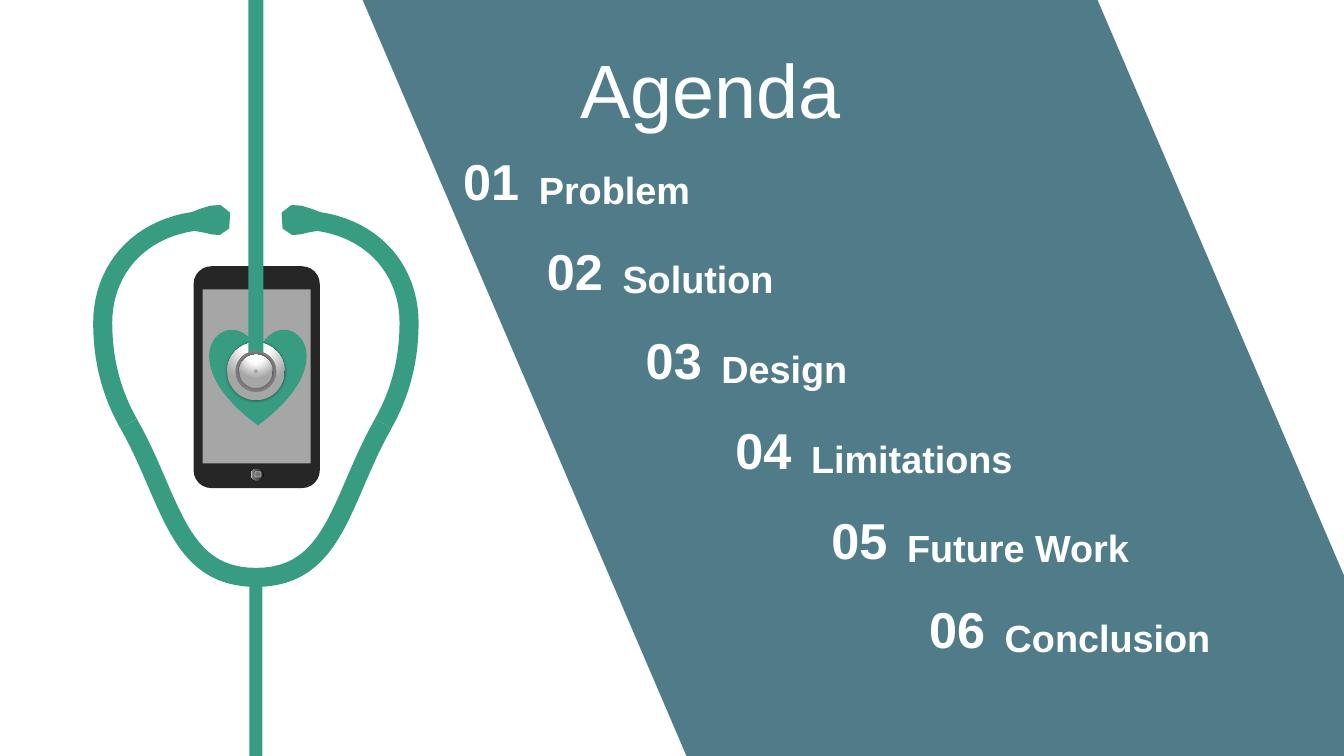
from dataclasses import dataclass
from math import hypot

from pptx import Presentation
from pptx.dml.color import RGBColor
from pptx.enum.shapes import MSO_SHAPE as SHAPE
from pptx.enum.text import MSO_ANCHOR as ANCHOR, MSO_AUTO_SIZE as AUTO, PP_ALIGN as ALIGN
from pptx.oxml import parse_xml
from pptx.oxml.ns import nsdecls, qn
from pptx.util import Cm, Pt


@dataclass(frozen=True)
class Theme:
    """Colours, font and type sizes of the slide."""
    band: str = "507C89"
    tube: str = "389C82"
    case: str = "262626"
    screen: str = "A6A6A6"
    ring: str = "808080"
    mark: str = "737373"
    mark_edge: str = "B0B0B0"
    text: str = "FFFFFF"
    font: str = "Arial"
    title: int = 54
    number: int = 36
    label: int = 27


T = Theme()
STEEL = ((0, "FFFFFF"), (35, "FFFFFF"), (100, "A6A6A6"))
BUTTON = ((0, "0F0F0F"), (56, "595959"), (91, "808080"), (100, "BFBFBF"))
RADIAL = '<a:path path="circle"><a:fillToRect l="50000" t="-80000" r="50000" b="180000"/></a:path>'
LINEAR = '<a:lin ang="10800000" scaled="0"/>'

WIDTH, HEIGHT = 33.87, 19.05
BAND = ((9.14, 0), (27.66, 0), (33.99, 14.78), (33.99, HEIGHT), (17.3, HEIGHT))

AXIS = 6.45
CHEST_Y = 9.36
EAR, SIDE, JOINT, BOTTOM = (5.79, 5.56), (2.59, 8.13), (3.24, 10.67), (AXIS, 14.55)
EAR_CURVE = (EAR, (3.81, 5.38), (2.59, 6.6), SIDE)
SIDE_CURVE = (SIDE, (2.59, 9.14), (2.84, 9.96), JOINT)
FORK_CURVE = (JOINT, (4.32, 12.57), (4.45, 14.55), BOTTOM)
TUBE_RADIUS = 0.24
EAR_RADII = (0.2, 0.38, 0.36, 0.3)
CURVE_STEPS = 24

ITEM_TOP, ITEM_PITCH = 4.06, 2.26
ITEMS = (("Problem", 13.28), ("Solution", 15.39), ("Design", 17.88),
         ("Limitations", 20.14), ("Future Work", 22.56), ("Conclusion", 25.02))
TIGHT = dict(margin_left=Cm(0.3), margin_right=Cm(0.3), margin_top=Cm(0.13), margin_bottom=Cm(0.13))


def assign(target, values):
    """Set every attribute named in values on target."""
    for name, value in values.items():
        setattr(target, name, value)


def bezier(curve):
    """Return evenly stepped points of a cubic curve."""
    weights = [((1 - t) ** 3, 3 * t * (1 - t) ** 2, 3 * t * t * (1 - t), t ** 3)
               for t in (i / CURVE_STEPS for i in range(CURVE_STEPS + 1))]
    return [tuple(sum(w * c for w, c in zip(row, axis)) for axis in zip(*curve)) for row in weights]


def mirror(points):
    """Reflect points across the upright axis of the stethoscope."""
    return [(2 * AXIS - x, y) for x, y in points]


def thicken(centre, first_radii=()):
    """Return the outline of a tube that follows a centre line."""
    left, right = [], []
    for i, (x, y) in enumerate(centre):
        (x0, y0), (x1, y1) = centre[max(i - 1, 0)], centre[min(i + 1, len(centre) - 1)]
        radius = first_radii[i] if i < len(first_radii) else TUBE_RADIUS
        k = radius / hypot(x1 - x0, y1 - y0)
        dx, dy = k * (y1 - y0), k * (x0 - x1)
        left.append((x + dx, y + dy))
        right.append((x - dx, y - dy))
    return left + right[::-1]


def paint(sp, color):
    """Give a shape a flat fill with no outline or shadow."""
    sp.shadow.inherit = False
    sp.fill.solid()
    sp.fill.fore_color.rgb = RGBColor.from_string(color)
    sp.line.fill.background()


def add_shape(shapes, kind, box, color, rotation=0):
    """Add a preset shape at a box given in centimetres."""
    sp = shapes.add_shape(kind, *map(Cm, box))
    sp.rotation = rotation
    paint(sp, color)
    return sp


def add_outline(shapes, color, *contours):
    """Add one shape made of closed contours in centimetres."""
    builder = None
    for contour in contours:
        start, *rest = [(Cm(x), Cm(y)) for x, y in contour]
        if builder is None:
            builder = shapes.build_freeform(*start)
        else:
            builder.move_to(*start)
        builder.add_line_segments(rest, close=True)
    paint(builder.convert_to_shape(), color)


def add_gradient(sp, stops, direction):
    """Replace the fill of a shape with a gradient."""
    sp.fill.gradient()
    marks = "".join(
        f'<a:gs pos="{pos * 1000}"><a:srgbClr val="{color}"/></a:gs>' for pos, color in stops)
    old = sp._element.spPr.find(qn("a:gradFill"))
    old.getparent().replace(old, parse_xml(
        f'<a:gradFill {nsdecls("a")} rotWithShape="0"><a:gsLst>{marks}</a:gsLst>{direction}</a:gradFill>'))


def add_disc(shapes, diameter, color):
    """Add a disc centred on the chest piece."""
    box = (AXIS - diameter / 2, CHEST_Y - diameter / 2, diameter, diameter)
    return add_shape(shapes, SHAPE.OVAL, box, color, 270)


def add_steel_disc(shapes, diameter):
    """Add a shiny disc with a soft shadow."""
    sp = add_disc(shapes, diameter, T.screen)
    add_gradient(sp, STEEL, RADIAL)
    sp._element.spPr.find(qn("a:effectLst")).append(parse_xml(
        f'<a:outerShdw {nsdecls("a")} blurRad="{Pt(2)}" dist="0" dir="0">'
        '<a:srgbClr val="000000"><a:alpha val="40000"/></a:srgbClr></a:outerShdw>'))


def add_straight_tube(shapes, top, bottom, width):
    """Add an upright tube on the axis as a turned rectangle."""
    length = bottom - top
    box = (AXIS - length / 2, (top + bottom - width) / 2, length, width)
    add_shape(shapes, SHAPE.RECTANGLE, box, T.tube, 270)


def add_text(shapes, text, box, size, bold=False, align=ALIGN.LEFT, **frame):
    """Add a one-line text box."""
    tf = shapes.add_textbox(*map(Cm, box)).text_frame
    assign(tf, dict(word_wrap=True, auto_size=AUTO.SHAPE_TO_FIT_TEXT, **frame))
    p = tf.paragraphs[0]
    p.alignment = align
    r = p.add_run()
    r.text = text
    assign(r.font, dict(name=T.font, size=Pt(size), bold=bold))
    r.font.color.rgb = RGBColor.from_string(T.text)


def add_item(shapes, index, label, x):
    """Add a numbered agenda entry on its row."""
    y = ITEM_TOP + index * ITEM_PITCH
    group = shapes.add_group_shape().shapes
    add_text(group, label, (x, y, 11.61, 1.42), T.label, True, **TIGHT)
    add_text(group, f"{index + 1:02}", (x - 2.13, y - 0.41, 2.46, 1.8), T.number, True,
             ALIGN.CENTER, **TIGHT)


def add_phone(shapes):
    """Add the phone with its screen and home button."""
    group = shapes.add_group_shape().shapes
    case = add_shape(group, SHAPE.ROUNDED_RECTANGLE, (4.88, 6.71, 3.18, 5.59), T.case)
    case.adjustments[0] = 0.14
    button = add_shape(group, SHAPE.OVAL, (6.32, 11.81, 0.33, 0.3), T.ring)
    add_gradient(button, BUTTON, LINEAR)
    mark = add_shape(group, SHAPE.ROUNDED_RECTANGLE, (6.43, 11.89, 0.15, 0.13), T.mark)
    mark.line.color.rgb = RGBColor.from_string(T.mark_edge)
    mark.line.width = Pt(0.5)
    add_shape(group, SHAPE.RECTANGLE, (5.11, 7.29, 2.72, 4.39), T.screen)


def add_stethoscope(shapes):
    """Add the heart, the tubes and the chest piece."""
    add_shape(shapes, SHAPE.HEART, (5.28, 8.28, 2.44, 2.44), T.tube)
    add_straight_tube(shapes, 14.49, HEIGHT, 0.33)
    add_steel_disc(shapes, 1.45)
    half_fork = bezier(FORK_CURVE)
    add_outline(shapes, T.tube, thicken(half_fork + mirror(half_fork[-2::-1])))
    arm = thicken(bezier(EAR_CURVE) + bezier(SIDE_CURVE)[1:], EAR_RADII)
    add_outline(shapes, T.tube, mirror(arm), arm)
    add_straight_tube(shapes, 0, 9.1, 0.38)
    group = shapes.add_group_shape().shapes
    add_disc(group, 1.04, T.ring)
    add_steel_disc(group, 0.84)
    add_disc(group, 0.1, T.screen)


def main():
    """Build the agenda slide and save it."""
    prs = Presentation()
    assign(prs, dict(slide_width=Cm(WIDTH), slide_height=Cm(HEIGHT)))
    shapes = prs.slides.add_slide(prs.slide_layouts[6]).shapes
    add_outline(shapes, T.band, BAND)
    add_phone(shapes)
    add_stethoscope(shapes)
    add_text(shapes, "Agenda", (14.38, 0.94, 16.74, 2.57), T.title, vertical_anchor=ANCHOR.MIDDLE)
    for index, item in enumerate(ITEMS):
        add_item(shapes, index, *item)
    prs.save("out.pptx")


if __name__ == "__main__":
    main()
